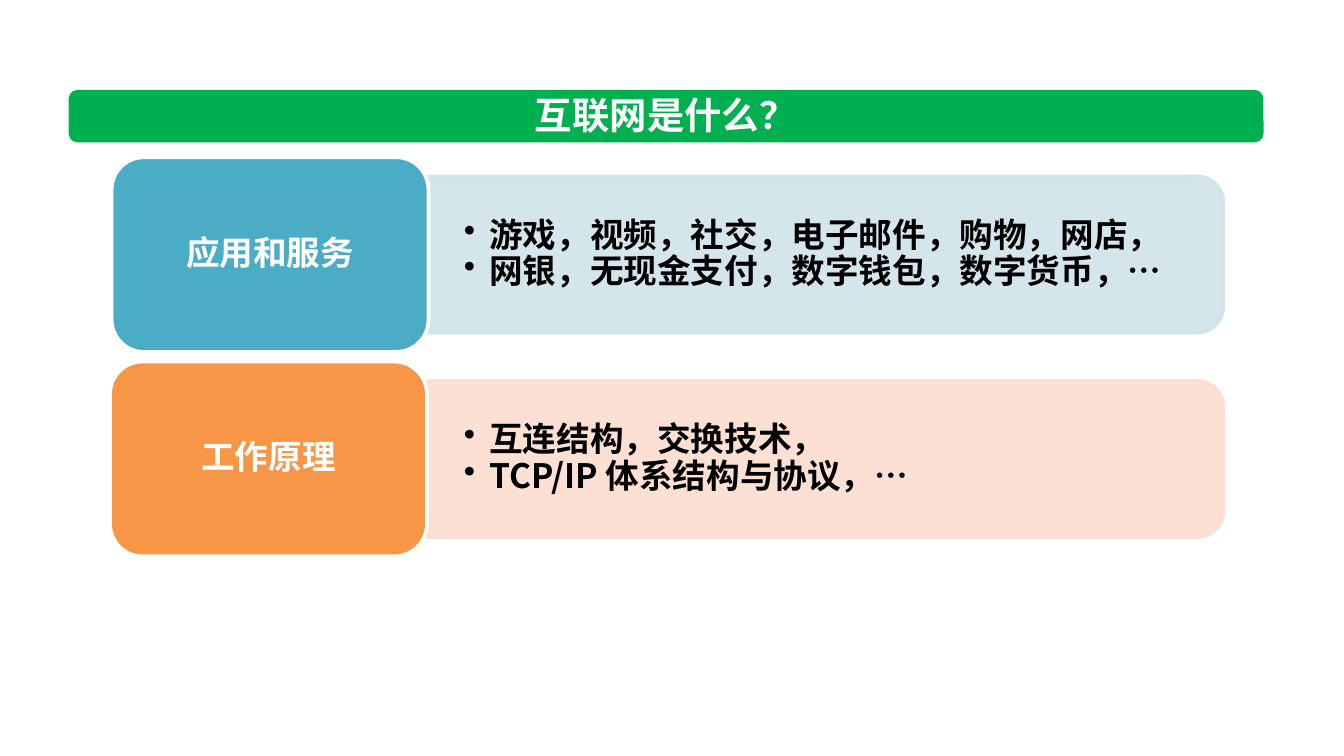
import pptx
import pptx.util
import pptx.dml.color
import pptx.enum.shapes
import pptx.enum.text
import pptx.oxml.ns
from lxml import etree

Cm = pptx.util.Cm
Pt = pptx.util.Pt
RGBColor = pptx.dml.color.RGBColor
SHAPE = pptx.enum.shapes.MSO_SHAPE
ALIGN = pptx.enum.text.PP_ALIGN
MIDDLE = pptx.enum.text.MSO_ANCHOR.MIDDLE
qn = pptx.oxml.ns.qn

# Content
GREEN = RGBColor(0x00, 0xB0, 0x50)
TEAL = RGBColor(0x4B, 0xAC, 0xC6)
PALE_BLUE = RGBColor(0xD0, 0xE3, 0xEA)
ORANGE = RGBColor(0xF7, 0x96, 0x46)
PALE_ORANGE = RGBColor(0xFC, 0xDD, 0xCF)
WHITE = RGBColor(0xFF, 0xFF, 0xFF)
BLACK = RGBColor(0x00, 0x00, 0x00)
FONT = "Noto Sans CJK SC"

TITLE = "互联网是什么？"
# label, label left (cm), points, label colour, panel colour
TOPICS = [
    ("应用和服务", 2.11,
     ["游戏，视频，社交，电子邮件，购物，网店，",
      "网银，无现金支付，数字钱包，数字货币，…"], TEAL, PALE_BLUE),
    ("工作原理", 2.08,
     ["互连结构，交换技术，", "TCP/IP 体系结构与协议，…"], ORANGE, PALE_ORANGE),
]

# Layout in cm
FIRST_CENTRE, ROW_PITCH = 4.81, 3.86
LABEL_W, LABEL_H = 5.99, 3.68
PANEL_LEFT, PANEL_W, PANEL_H = 8.08, 15.04, 2.95
POINTS_W, POINTS_H = 14.91, 2.67

deck = pptx.Presentation()
deck.slide_width, deck.slide_height = Cm(25.4), Cm(14.28)
slide = deck.slides.add_slide(deck.slide_layouts[6])


def add_block(kind, left, top, width, height, fill, line=None):
    block = slide.shapes.add_shape(kind, Cm(left), Cm(top), Cm(width), Cm(height))
    block.shadow.inherit = False
    block.fill.solid()
    block.fill.fore_color.rgb = fill
    if line is None:
        block.line.fill.background()
    else:
        block.line.color.rgb = line
        block.line.width = Pt(2)
    return block


def make_translucent(block):
    for colour in block._element.spPr.iter(qn("a:srgbClr")):
        etree.SubElement(colour, qn("a:alpha"), val="90000")


def write(frame, lines, size, colour, align, spacing=1.0, bullets=False):
    frame.text = "\n".join(lines)
    frame.vertical_anchor = MIDDLE
    for paragraph in frame.paragraphs:
        paragraph.alignment = align
        paragraph.line_spacing = spacing
        if bullets:
            properties = paragraph._p.get_or_add_pPr()
            properties.set("marL", str(Cm(0.48)))
            properties.set("indent", str(-Cm(0.48)))
            etree.SubElement(properties, qn("a:buChar"), char="•")
        for run in paragraph.runs:
            run.font.size = Pt(size)
            run.font.bold = True
            run.font.color.rgb = colour
            run.font.name = FONT
            etree.SubElement(run._r.get_or_add_rPr(), qn("a:ea"), typeface=FONT)


def set_margins(frame, across, down):
    frame.margin_left = frame.margin_right = Cm(across)
    frame.margin_top = frame.margin_bottom = Cm(down)


# Title bar
add_block(SHAPE.ROUNDED_RECTANGLE, 1.3, 1.7, 22.58, 0.99, GREEN)
title = slide.shapes.add_textbox(Cm(9.83), Cm(1.6), Cm(5.51), Cm(1.12))
title.text_frame.word_wrap = False
write(title.text_frame, [TITLE], 20, WHITE, ALIGN.CENTER)

# Topic rows
for row, (label_text, label_left, points, label_fill, panel_fill) in enumerate(TOPICS):
    centre = FIRST_CENTRE + row * ROW_PITCH

    # The panel stands upright and is turned so its round corners face right
    panel = add_block(SHAPE.ROUND_2_SAME_RECTANGLE,
                      PANEL_LEFT + (PANEL_W - PANEL_H) / 2, centre - PANEL_W / 2,
                      PANEL_H, PANEL_W, panel_fill, panel_fill)
    panel.rotation = 90
    make_translucent(panel)

    details = slide.shapes.add_textbox(Cm(PANEL_LEFT), Cm(centre - POINTS_H / 2),
                                       Cm(POINTS_W), Cm(POINTS_H))
    details.text_frame.word_wrap = True
    set_margins(details.text_frame, 0.69, 0.36)
    write(details.text_frame, points, 18, BLACK, ALIGN.LEFT, 0.9, bullets=True)

    label = add_block(SHAPE.ROUNDED_RECTANGLE, label_left, centre - LABEL_H / 2,
                      LABEL_W, LABEL_H, label_fill, WHITE)
    set_margins(label.text_frame, 0.18, 0.1)
    write(label.text_frame, [label_text], 18, WHITE, ALIGN.CENTER, 0.9)

deck.save("out.pptx")
